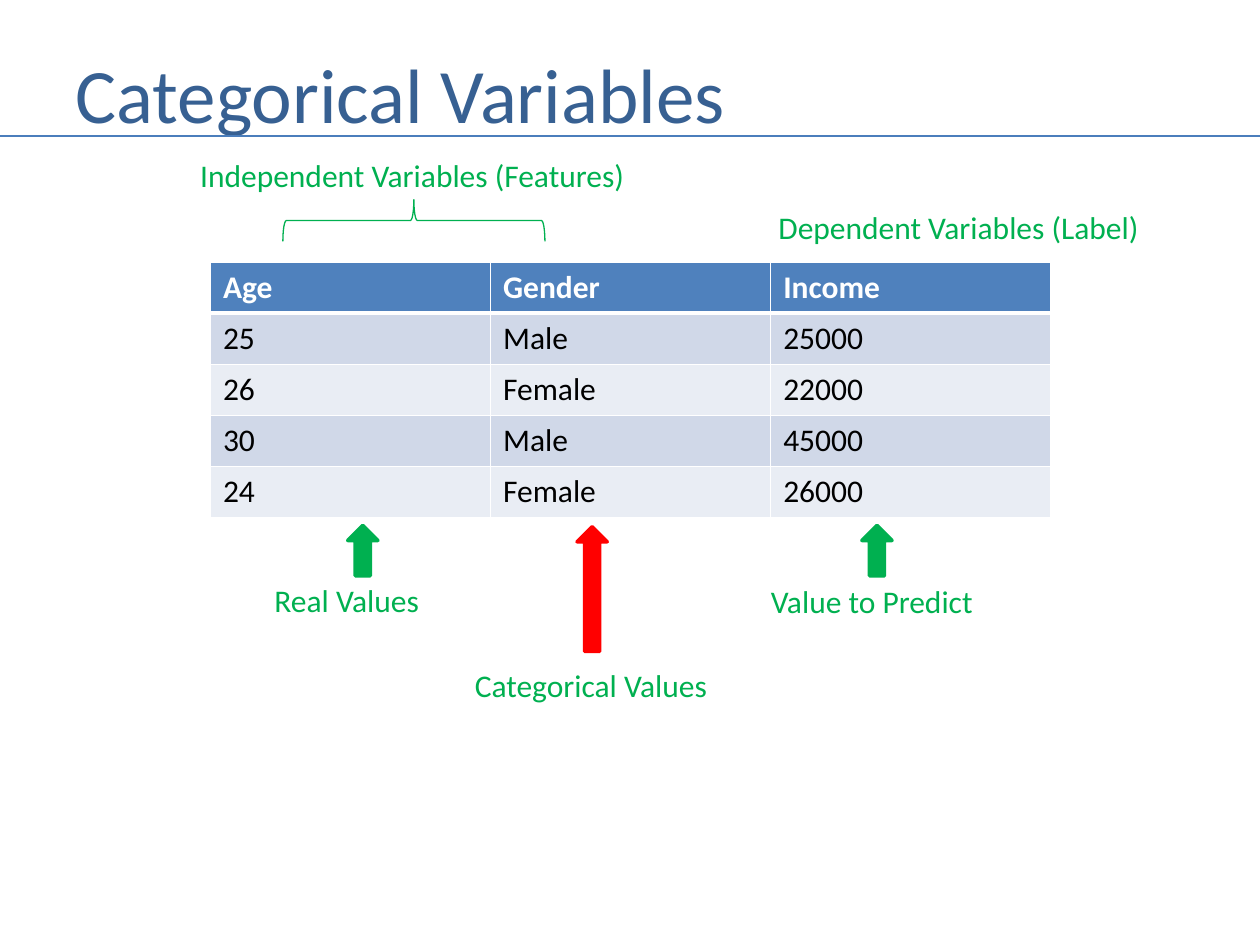
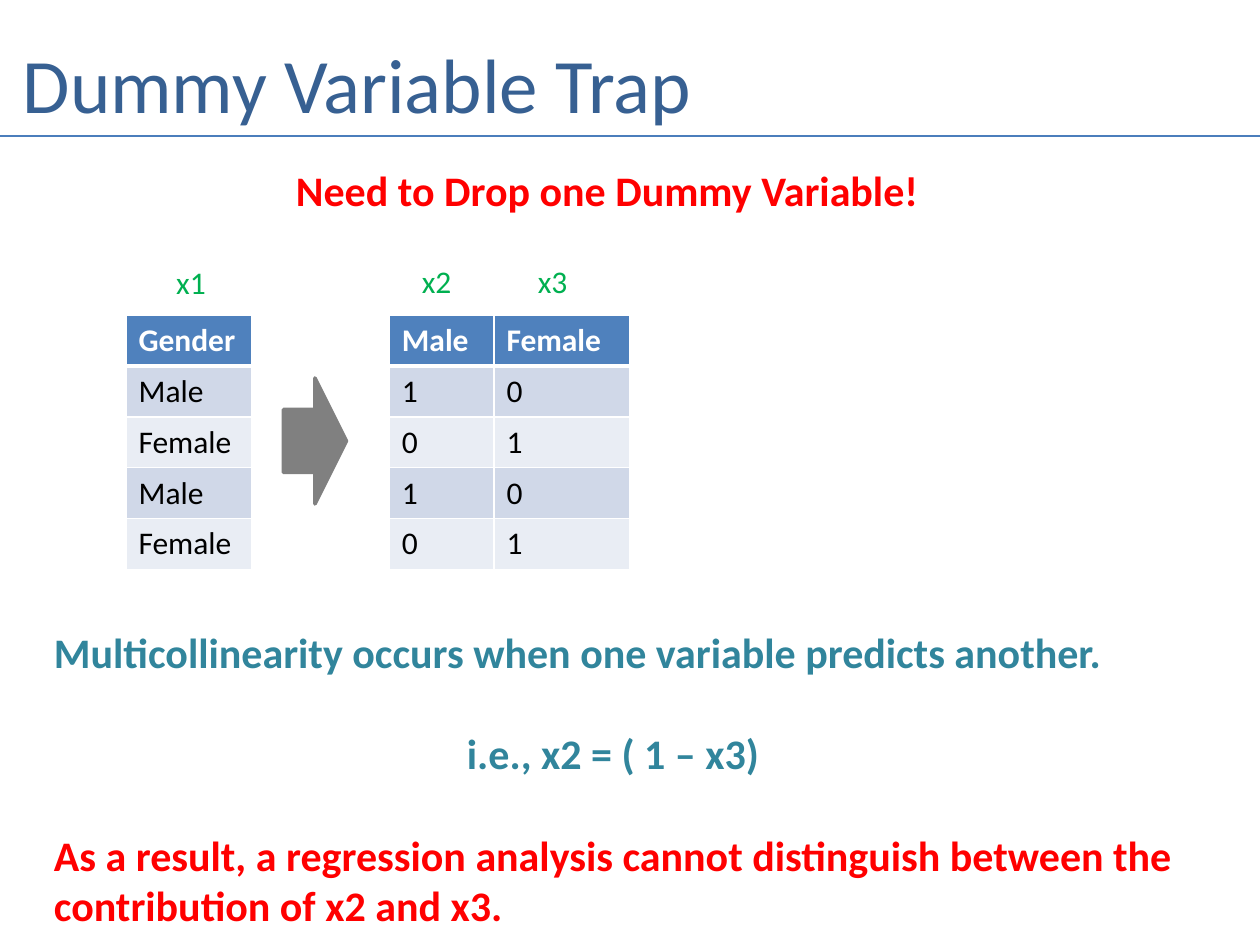
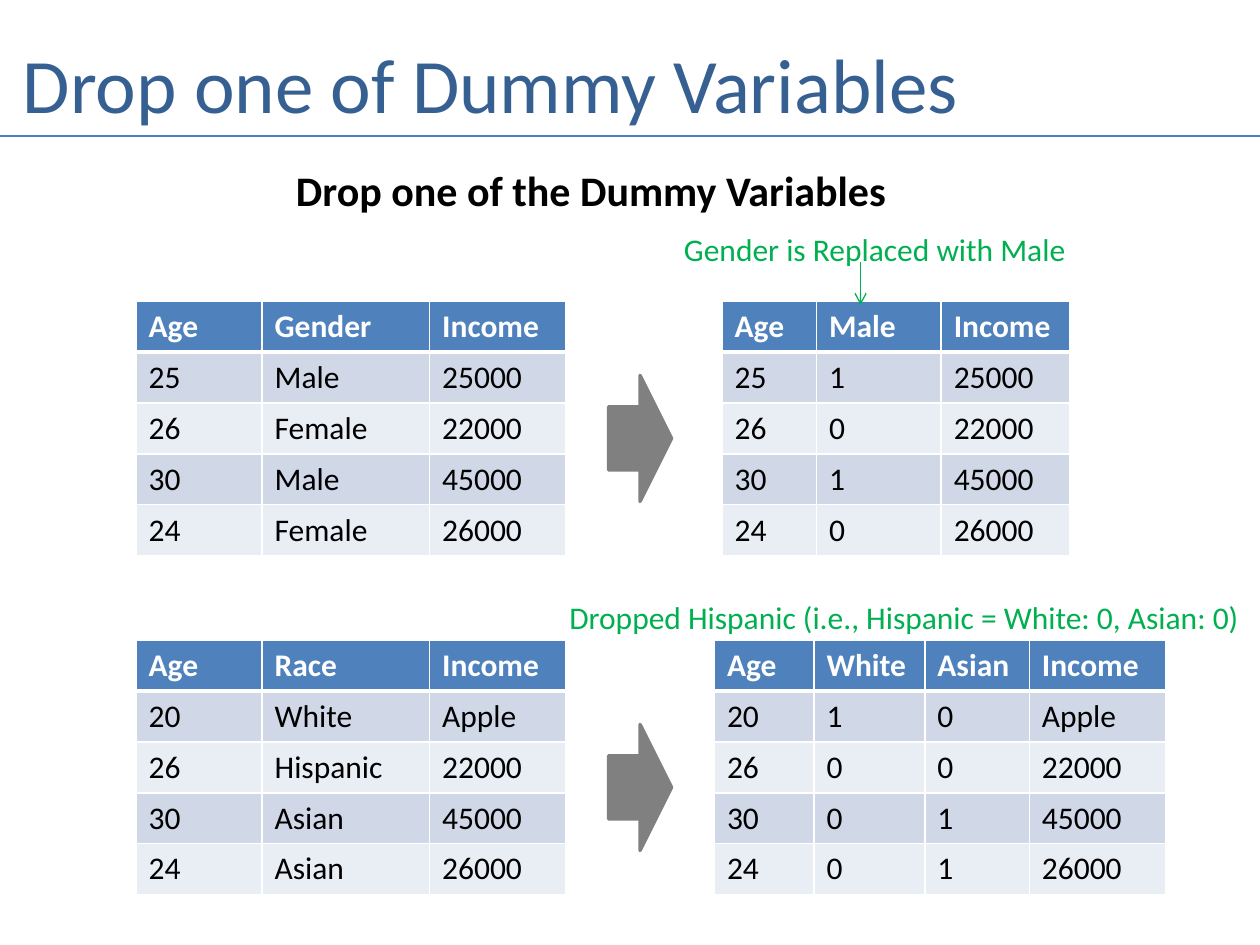
from collections import namedtuple
from dataclasses import dataclass
from lxml.etree import SubElement as Sub
from pptx import Presentation
from pptx.dml.color import RGBColor as Rgb
from pptx.enum.shapes import MSO_CONNECTOR as Link, MSO_SHAPE as Kind
from pptx.enum.text import MSO_ANCHOR as Anchor, MSO_AUTO_SIZE as Fit, PP_ALIGN as Align
from pptx.oxml.ns import qn
from pptx.util import Inches, Pt


@dataclass(frozen=True)
class Theme:
    font: str = "Calibri"
    head: str = "376092"
    rule: str = "4B7EBC"
    top: str = "4F81BD"
    bands: tuple = ("E9EDF4", "D0D8E8")
    white: str = "FFFFFF"
    black: str = "000000"
    green: str = "00B050"
    red: str = "FF0000"
    teal: str = "31859C"
    gray: str = "808080"
    large: int = 44
    mid: int = 24
    small: int = 18


look = Theme()
Box = namedtuple("Box", "x y w h")
Grid = namedtuple("Grid", "cols rows")


def span(box):
    return [Inches(n) for n in box]


def put(item, vals):
    for name, val in vals.items():
        setattr(item, name, val)


def ink(font, size, color, bold=False):
    put(font, {"name": look.font, "size": Pt(size), "bold": bold})
    font.color.rgb = Rgb.from_string(color)


def line(slide, start, end, color, width, tip=False):
    link = slide.shapes.add_connector(Link.STRAIGHT, *span(start + end))
    link.line.color.rgb = Rgb.from_string(color)
    link.line.width = Pt(width)
    if tip:
        Sub(link.line._get_or_add_ln(), qn("a:tailEnd"), type="arrow")
    Sub(link._element.spPr, qn("a:effectLst"))


def page(deck, title, x, y):
    slide = deck.slides.add_slide(deck.slide_layouts[5])
    head = slide.shapes.title
    put(head, dict(zip(("left", "top", "width", "height"), span((x, y, 9.08, 0.87)))))
    frame = head.text_frame
    put(frame, {"text": title, "vertical_anchor": Anchor.MIDDLE, "auto_size": Fit.NONE})
    frame.paragraphs[0].alignment = Align.LEFT
    ink(frame.paragraphs[0].font, look.large, look.head)
    line(slide, (0, 1.08), (10, 1.08), look.rule, 1.5)
    return slide


def text(slide, box, paras):
    frame = slide.shapes.add_textbox(*span(box)).text_frame
    put(frame, {"word_wrap": False, "auto_size": Fit.SHAPE_TO_FIT_TEXT})
    for i, (words, style, form) in enumerate(paras):
        para = frame.add_paragraph() if i else frame.paragraphs[0]
        put(para, {"text": words, **form})
        ink(para.font, *style)


def note(slide, words, x, y, w):
    text(slide, Box(x, y, w, 0.4), [(words, (look.small, look.green), {})])


def lead(slide, words, w, color):
    text(slide, Box(2.25, 1.26, w, 0.5), [(words, (look.mid, color, True), {})])


def shape(slide, kind, box, color, width=2, solid=True):
    item = slide.shapes.add_shape(kind, *span(box))
    item.shadow.inherit = False
    if solid:
        item.fill.solid()
        item.fill.fore_color.rgb = Rgb.from_string(color)
    else:
        item.fill.background()
    item.line.color.rgb = Rgb.from_string(color)
    item.line.width = Pt(width)
    return item


def edge(cell, row):
    prop = cell._tc.get_or_add_tcPr()
    wide = {"lnT": 1} if row == 0 else {"lnB": 1}
    for i, side in enumerate(("lnL", "lnR", "lnT", "lnB")):
        width = 3 if row < 2 and side in ("lnT", "lnB") and side not in wide else 1
        border = Sub(prop, qn("a:" + side), w=str(Pt(width)))
        Sub(Sub(border, qn("a:solidFill")), qn("a:srgbClr"), val=look.white)
        prop.insert(i, border)


def table(slide, box, grid):
    rows = [row.split() for row in grid.rows]
    body = slide.shapes.add_table(len(rows), len(grid.cols), *span(box)).table
    for col, width in zip(body.columns, grid.cols):
        col.width = Inches(width)
    for r, row in enumerate(rows):
        body.rows[r].height = Inches(box.h / len(rows))
        for c, words in enumerate(row):
            cell = body.cell(r, c)
            cell.text = words
            cell.fill.solid()
            cell.fill.fore_color.rgb = Rgb.from_string(look.bands[r % 2] if r else look.top)
            ink(cell.text_frame.paragraphs[0].font, look.small,
                look.black if r else look.white, r == 0)
            edge(cell, r)


def swap(slide, box, left, right, gap, drop):
    wide, slim = sum(left.cols), sum(right.cols)
    table(slide, Box(box.x, box.y, wide, box.h), left)
    shape(slide, Kind.RIGHT_ARROW, Box(box.x + wide + gap, box.y + drop, 0.5, 1), look.gray)
    table(slide, Box(box.x + box.w - slim, box.y, slim, box.h), right)


def kinds(deck):
    slide = page(deck, "Categorical Variables", 0.5, 0.3)
    rows = ("Age Gender Income", "25 Male 25000", "26 Female 22000",
            "30 Male 45000", "24 Female 26000")
    table(slide, Box(1.67, 2.08, 6.67, 2.02), Grid((6.67 / 3,) * 3, rows))
    brace = shape(slide, Kind.RIGHT_BRACE, Box(3.12, 0.71, 0.33, 2.08), look.green, 0.75, False)
    brace.rotation = 270
    for x, y, h, color in ((2.76, 4.17, 0.4, look.green), (6.84, 4.17, 0.4, look.green),
                           (4.58, 4.18, 0.99, look.red)):
        shape(slide, Kind.UP_ARROW, Box(x, y, 0.24, h), color)
    for spot in (("Independent Variables (Features)", 1.49, 1.19, 3.61),
                 ("Dependent Variables (Label)", 6.08, 1.6, 3.1),
                 ("Real Values", 2.08, 4.56, 1.36),
                 ("Value to Predict", 6.02, 4.57, 1.82),
                 ("Categorical Values", 3.67, 5.24, 2.07)):
        note(slide, *spot)


def trap(deck):
    slide = page(deck, "Dummy Variable Trap", 0.08, 0.22)
    lead(slide, "Need to Drop one Dummy Variable!", 5.19, look.red)
    swap(slide, Box(1, 2.5, 4, 2.02),
         Grid((1,), ("Gender", "Male", "Female", "Male", "Female")),
         Grid((0.83, 1.08), ("Male Female", "1 0", "0 1", "1 0", "0 1")), 0.25, 0.5)
    for words, x, y in (("x1", 1.3, 2.04), ("x2", 3.25, 2.03), ("x3", 4.17, 2.03)):
        note(slide, words, x, y, 0.44)
    teal, red = (look.mid, look.teal, True), (look.mid, look.red, True)
    space = {"space_before": Pt(29.3)}
    text(slide, Box(0.33, 4.92, 9.27, 2.93), [
        ("Multicollinearity occurs when one variable predicts another.", teal, {}),
        ("i.e., x2 = ( 1 – x3)", teal, {**space, "alignment": Align.CENTER}),
        ("As a result, a regression analysis cannot distinguish between the", red, space),
        ("contribution of x2 and x3.", red, {})])


def drop(deck):
    slide = page(deck, "Drop one of Dummy Variables", 0.08, 0.22)
    lead(slide, "Drop one of the Dummy Variables", 4.93, look.black)
    cols = (1, 1.33, 1.08)
    swap(slide, Box(1.08, 2.39, 7.41, 2.02),
         Grid(cols, ("Age Gender Income", "25 Male 25000", "26 Female 22000",
                     "30 Male 45000", "24 Female 26000")),
         Grid((0.75, 0.99, 1.02), ("Age Male Income", "25 1 25000", "26 0 22000",
                                   "30 1 45000", "24 0 26000")), 0.34, 0.59)
    swap(slide, Box(1.08, 5.08, 8.17, 2.02),
         Grid(cols, ("Age Race Income", "20 White Apple", "26 Hispanic 22000",
                     "30 Asian 45000", "24 Asian 26000")),
         Grid((0.79, 0.88, 0.83, 1.08), ("Age White Asian Income", "20 1 0 Apple",
                                         "26 0 0 22000", "30 0 1 45000",
                                         "24 0 1 26000")), 0.34, 0.67)
    note(slide, "Gender is Replaced with Male", 5.33, 1.78, 3.32)
    note(slide, "Dropped Hispanic (i.e., Hispanic = White: 0, Asian: 0)", 4.42, 4.7, 5.58)
    line(slide, (6.83, 2.08), (6.83, 2.42), look.green, 0.75, True)


def main():
    deck = Presentation()
    put(deck, {"slide_width": Inches(10), "slide_height": Inches(7.5)})
    for build in (kinds, trap, drop):
        build(deck)
    deck.save("out.pptx")


if __name__ == "__main__":
    main()
